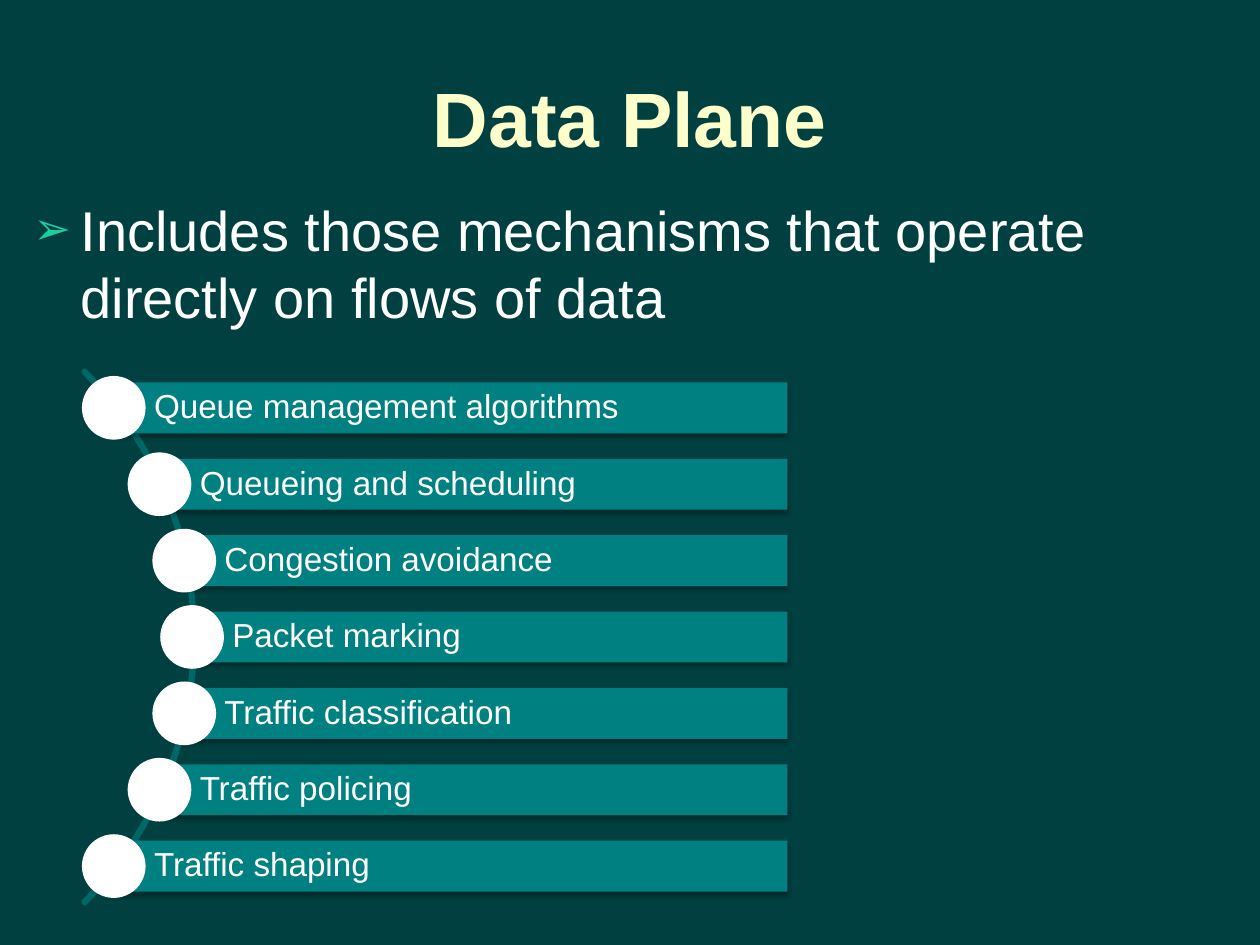
from dataclasses import dataclass
from math import sqrt

from lxml.etree import SubElement
from pptx import Presentation
from pptx.dml.color import RGBColor
from pptx.enum.shapes import MSO_SHAPE
from pptx.enum.text import MSO_ANCHOR, PP_ALIGN
from pptx.oxml.ns import qn
from pptx.util import Pt


@dataclass(frozen=True)
class Theme:
    background: str = "004040"
    title: str = "FFFFCC"
    text: str = "FFFFFF"
    bullet: str = "1ACE9F"
    arc: str = "006767"
    bar: str = "008080"
    shadow: str = "000000"
    font: str = "Arial"
    title_size: int = 44
    body_size: int = 32
    bar_size: int = 19


theme = Theme()


def color(value):
    return RGBColor.from_string(value)


def write(frame, text, *, size, fill, bold=False, align=PP_ALIGN.LEFT,
          anchor=MSO_ANCHOR.TOP, before=0, after=0, spacing=1.0):
    frame.word_wrap = True
    frame.vertical_anchor = anchor
    para = frame.paragraphs[0]
    para.alignment = align
    para.line_spacing = spacing
    para.space_before = Pt(before)
    para.space_after = Pt(after)
    span = para.add_run()
    span.text = text
    span.font.name = theme.font
    span.font.size = Pt(size)
    span.font.bold = bold
    span.font.color.rgb = color(fill)
    return para


deck = Presentation()
deck.slide_width = Pt(720)
deck.slide_height = Pt(540)
page = deck.slides.add_slide(deck.slide_layouts[6])
page.background.fill.solid()
page.background.fill.fore_color.rgb = color(theme.background)

title_box = page.shapes.add_textbox(Pt(36), Pt(21.6), Pt(648), Pt(90))
write(title_box.text_frame, "Data Plane", size=theme.title_size, fill=theme.title,
      bold=True, align=PP_ALIGN.CENTER, anchor=MSO_ANCHOR.MIDDLE)

body_box = page.shapes.add_textbox(Pt(12), Pt(108), Pt(648), Pt(384))
body_para = write(body_box.text_frame,
                  "Includes those mechanisms that operate directly on flows of data",
                  size=theme.body_size, fill=theme.text, before=6.4)
properties = body_para._p.get_or_add_pPr()
properties.set("marL", str(Pt(27)))
properties.set("indent", str(Pt(-27)))
bullet_color = SubElement(properties, qn("a:buClr"))
SubElement(bullet_color, qn("a:srgbClr"), val=theme.bullet)
SubElement(properties, qn("a:buSzPct"), val="80000")
SubElement(properties, qn("a:buFont"), typeface=theme.font)
SubElement(properties, qn("a:buChar"), char="➢")

center_x, center_y = -104, 364
arc_radius = 215.6
arc = page.shapes.add_shape(MSO_SHAPE.BLOCK_ARC, Pt(center_x - arc_radius),
                            Pt(center_y - arc_radius), Pt(2 * arc_radius), Pt(2 * arc_radius))
for index, value in enumerate((189, 27, 0.0036)):
    arc.adjustments[index] = value
arc.shadow.inherit = False
arc.fill.background()
arc.line.color.rgb = color(theme.arc)
arc.line.width = Pt(2)

mechanisms = (
    "Queue management algorithms",
    "Queueing and scheduling",
    "Congestion avoidance",
    "Packet marking",
    "Traffic classification",
    "Traffic policing",
    "Traffic shaping",
)
track_radius = 213.8
step = 43.64
bar_right, bar_height = 450, 29.1
dot_size = 36.4

for index, mechanism in enumerate(mechanisms):
    offset = (index - len(mechanisms) // 2) * step
    dot_x = center_x + sqrt(track_radius ** 2 - offset ** 2)
    dot_y = center_y + offset

    bar = page.shapes.add_shape(MSO_SHAPE.RECTANGLE, Pt(dot_x), Pt(dot_y - bar_height / 2),
                                Pt(bar_right - dot_x), Pt(bar_height))
    bar.fill.solid()
    bar.fill.fore_color.rgb = color(theme.bar)
    bar.line.fill.background()
    bar.shadow.inherit = False
    effects = bar._element.spPr.find(qn("a:effectLst"))
    shadow = SubElement(effects, qn("a:outerShdw"), blurRad=str(Pt(3.1)),
                        dist=str(Pt(1.8)), dir="5400000", rotWithShape="0")
    shadow_color = SubElement(shadow, qn("a:srgbClr"), val=theme.shadow)
    SubElement(shadow_color, qn("a:alpha"), val="35000")

    frame = bar.text_frame
    frame.margin_left = Pt(23)
    frame.margin_top = frame.margin_right = frame.margin_bottom = Pt(3.6)
    write(frame, mechanism, size=theme.bar_size, fill=theme.text,
          anchor=MSO_ANCHOR.MIDDLE, after=6.65, spacing=0.9)

    dot = page.shapes.add_shape(MSO_SHAPE.OVAL, Pt(dot_x - dot_size / 2),
                                Pt(dot_y - dot_size / 2), Pt(dot_size), Pt(dot_size))
    dot.shadow.inherit = False
    dot.fill.solid()
    dot.fill.fore_color.rgb = color(theme.text)
    dot.line.fill.background()

deck.save("out.pptx")
